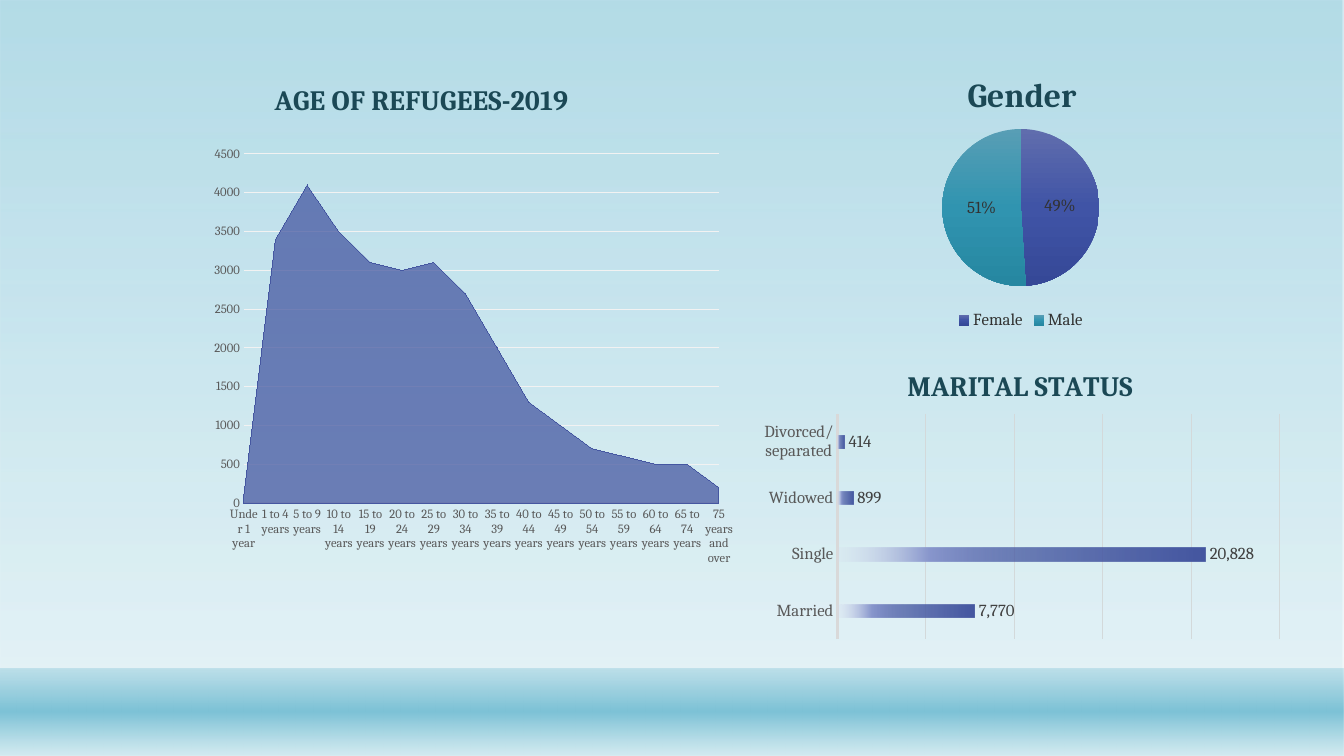
from dataclasses import dataclass
from typing import Any, NamedTuple

from lxml.etree import SubElement
from pptx import Presentation
from pptx.chart.chart import Chart
from pptx.chart.data import CategoryChartData
from pptx.dml.color import RGBColor
from pptx.dml.fill import FillFormat
from pptx.dml.line import LineFormat
from pptx.enum.chart import (XL_CHART_TYPE, XL_LABEL_POSITION,
                             XL_LEGEND_POSITION, XL_TICK_MARK)
from pptx.enum.shapes import MSO_SHAPE
from pptx.oxml.ns import qn
from pptx.util import Inches, Pt


@dataclass(frozen=True)
class Theme:
    face: str = "Cambria"
    title: str = "1B4855"
    text: str = "323232"
    label: str = "404040"
    axis: str = "595959"
    rule: str = "D9D9D9"
    grid: str = "F2F2F2"
    bars: str = "D3D9DA"
    blue: str = "4557A1"
    sky: str = "7DC2D6"
    pale: str = "D4EBF1"
    small: float = 9
    base: float = 10
    body: float = 12
    head: float = 20
    large: float = 24


class Stop(NamedTuple):
    pos: int
    color: str
    alpha: int = 100


class Panel(NamedTuple):
    top: float
    high: float
    stops: list[Stop]


class Graph(NamedTuple):
    kind: Any
    box: tuple[float, float, float, float]
    title: str
    size: float
    spot: tuple[float, float]
    plot: tuple[float, float, float, float]
    data: dict[str, int]


THEME = Theme()
AGES = ["Under 1 year", "1 to 4 years", "5 to 9 years",
        *(f"{n} to {n + 4} years" for n in range(10, 65, 5)),
        "65 to 74 years", "75 years and over"]
COUNTS = [100, 3400, 4100, 3500, 3100, 3000, 3100, 2700,
          2000, 1300, 1000, 700, 600, 500, 500, 200]
PANELS = [
    Panel(0, 7.5, [Stop(0, THEME.sky, 58), Stop(88, THEME.pale, 65)]),
    Panel(6.63, 0.87, [Stop(1, THEME.sky, 38), Stop(49, THEME.sky),
                       Stop(100, THEME.pale, 89)]),
]
SLICES = [
    [Stop(0, "606DAD"), Stop(50, "4054A6"), Stop(100, "354897")],
    [Stop(0, "589EB5"), Stop(50, "3094B0"), Stop(100, "2687A1")],
]
FADE = [Stop(0, THEME.blue), Stop(51, THEME.blue, 75),
        Stop(75, "8997CD"), Stop(100, "D8DCEE", 15)]
GENDER = Graph(XL_CHART_TYPE.PIE, (7.45, 0.53, 5.35, 2.78), "Gender",
               THEME.large, (0.39, 0.05), (0.35, 0.27, 0.3, 0.56),
               {"Female": 49, "Male": 51})
AGE = Graph(XL_CHART_TYPE.AREA, (1.08, 0.53, 6.37, 5.87),
            "AGE OF REFUGEES-2019", THEME.head, (0.25, 0.04),
            (0.21, 0.17, 0.74, 0.59), dict(zip(AGES, COUNTS)))
STATUS = Graph(XL_CHART_TYPE.BAR_CLUSTERED, (7.45, 3.42, 5.35, 2.98),
               "MARITAL STATUS", THEME.head, (0.28, 0.06),
               (0.16, 0.23, 0.82, 0.75),
               {"Married": 7770, "Single": 20828, "Widowed": 899,
                "Divorced/separated": 414})


def apply(item: Any, form: dict[str, Any]) -> None:
    for name, value in form.items():
        setattr(item, name, value)


def style(font: Any, size: float, color: str, bold: bool = False) -> None:
    apply(font, {"name": THEME.face, "size": Pt(size), "bold": bold})
    font.color.rgb = RGBColor.from_string(color)


def tint(host: Any, stop: Stop) -> None:
    color = SubElement(host, qn("a:srgbClr"), val=stop.color)
    if stop.alpha < 100:
        SubElement(color, qn("a:alpha"), val=str(stop.alpha * 1000))


def paint(fill: FillFormat, stops: list[Stop], angle: int = 90) -> None:
    fill.solid()
    host = fill._xPr
    old = host.find(qn("a:solidFill"))
    if len(stops) == 1:
        tint(old, stops[0])
        return
    grad = SubElement(host, qn("a:gradFill"), rotWithShape="1")
    items = SubElement(grad, qn("a:gsLst"))
    for stop in stops:
        tint(SubElement(items, qn("a:gs"), pos=str(stop.pos * 1000)), stop)
    SubElement(grad, qn("a:lin"), ang=str(angle * 60000), scaled="0")
    host.replace(old, grad)


def stroke(line: LineFormat, color: str, width: float) -> None:
    line.color.rgb = RGBColor.from_string(color)
    line.width = Pt(width)


def place(host: Any, index: int, spot: tuple[float, ...]) -> None:
    for old in host.findall(qn("c:layout")):
        host.remove(old)
    frame = SubElement(host, qn("c:layout"))
    host.insert(index, frame)
    part = SubElement(frame, qn("c:manualLayout"))
    if len(spot) == 4:
        SubElement(part, qn("c:layoutTarget"), val="inner")
    for name in ("xMode", "yMode"):
        SubElement(part, qn(f"c:{name}"), val="edge")
    for name, value in zip("xywh", spot):
        SubElement(part, qn(f"c:{name}"), val=str(value))


def draw(slide: Any, graph: Graph) -> Chart:
    data = CategoryChartData(number_format="#,##0")
    data.categories = list(graph.data)
    data.add_series("Series 1", list(graph.data.values()))
    box = [Inches(n) for n in graph.box]
    chart = slide.shapes.add_chart(graph.kind, *box, data).chart
    style(chart.font, THEME.base, "000000")
    apply(chart, {"has_title": True, "has_legend": False})
    frame = chart.chart_title.text_frame
    frame.text = graph.title
    style(frame.paragraphs[0].runs[0].font, graph.size, THEME.title, True)
    place(chart.chart_title._element, 1, graph.spot)
    place(chart._chartSpace.chart.plotArea, 0, graph.plot)
    chart.plots[0].vary_by_categories = graph.kind == XL_CHART_TYPE.PIE
    return chart


def label(chart: Chart, color: str, form: dict[str, Any]) -> None:
    plot = chart.plots[0]
    plot.has_data_labels = True
    apply(plot.data_labels, form)
    style(plot.data_labels.font, THEME.body, color)


def rule(chart: Chart, size: float, width: float, grid: str,
         form: dict[str, Any]) -> None:
    for axis in (chart.category_axis, chart.value_axis):
        apply(axis, {"major_tick_mark": XL_TICK_MARK.NONE,
                     "minor_tick_mark": XL_TICK_MARK.NONE})
        style(axis.tick_labels.font, size, THEME.axis)
    stroke(chart.category_axis.format.line, THEME.rule, width)
    apply(chart.value_axis, {"minimum_scale": 0, **form})
    chart.value_axis.format.line.fill.background()
    stroke(chart.value_axis.major_gridlines.format.line, grid, 0.75)


def main() -> None:
    deck = Presentation()
    apply(deck, {"slide_width": Inches(13.33), "slide_height": Inches(7.5)})
    slide = deck.slides.add_slide(deck.slide_layouts[6])
    for panel in PANELS:
        shape = slide.shapes.add_shape(
            MSO_SHAPE.RECTANGLE, 0, Inches(panel.top),
            deck.slide_width, Inches(panel.high))
        shape.shadow.inherit = False
        shape.line.fill.background()
        paint(shape.fill, panel.stops)

    pie = draw(slide, GENDER)
    for index, stops in enumerate(SLICES):
        paint(pie.series[0].points[index].format.fill, stops)
    label(pie, THEME.text, {"show_percentage": True, "show_value": False,
                            "position": XL_LABEL_POSITION.CENTER})
    pie.has_legend = True
    apply(pie.legend, {"position": XL_LEGEND_POSITION.BOTTOM,
                       "include_in_layout": False})
    style(pie.legend.font, THEME.body, THEME.text)

    area = draw(slide, AGE)
    rule(area, THEME.small, 0.75, THEME.grid,
         {"maximum_scale": 4500, "major_unit": 500})
    area.category_axis._element.txPr.bodyPr.set("rot", "0")
    paint(area.series[0].format.fill, [Stop(0, THEME.blue, 74)])
    stroke(area.series[0].format.line, THEME.blue, 0)

    bar = draw(slide, STATUS)
    rule(bar, THEME.body, 1.5, THEME.bars,
         {"maximum_scale": 25000, "major_unit": 5000, "visible": False})
    apply(bar.plots[0], {"gap_width": 326, "overlap": -58})
    paint(bar.series[0].format.fill, FADE, 180)
    label(bar, THEME.label, {"show_value": True,
                             "position": XL_LABEL_POSITION.OUTSIDE_END})
    deck.save("out.pptx")


if __name__ == "__main__":
    main()
